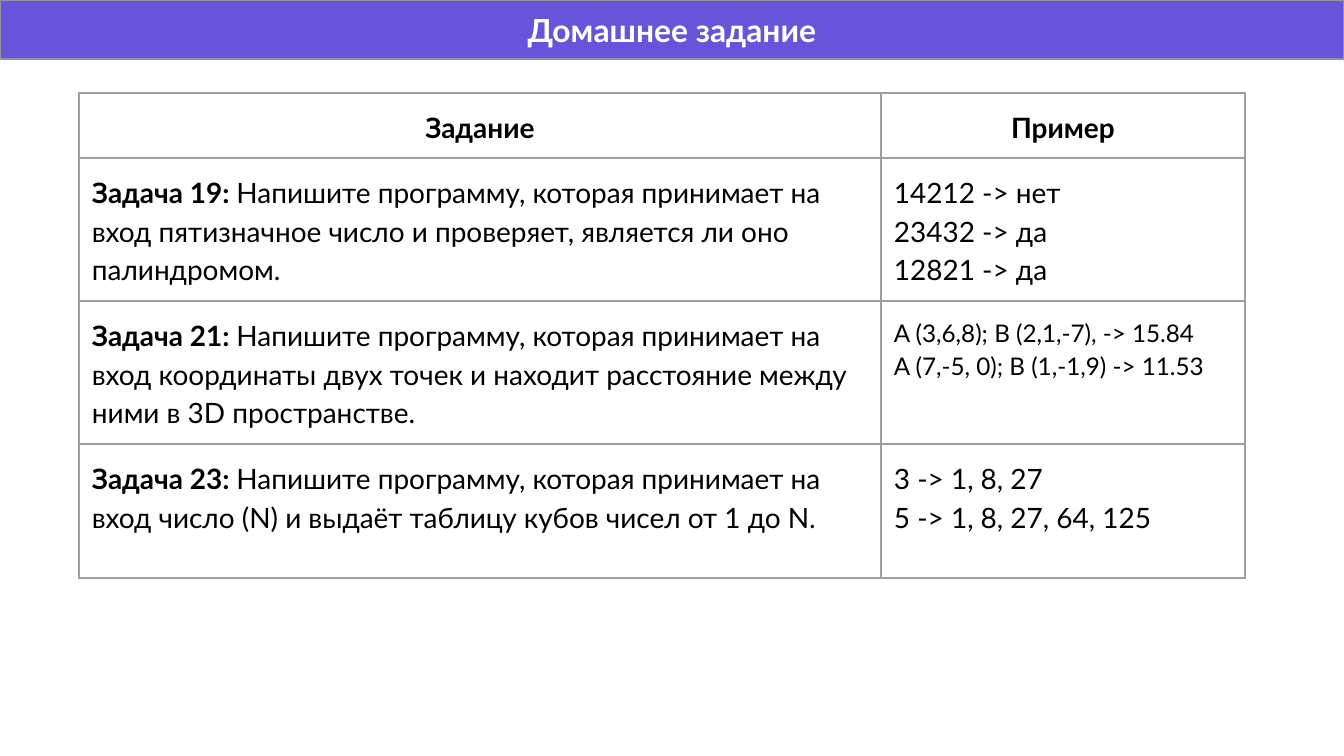
from dataclasses import dataclass

from lxml import etree
from pptx import Presentation
from pptx import util as u
from pptx.dml.color import RGBColor
from pptx.enum import shapes, text
from pptx.oxml import ns

PX = 914400 / 134.4  # EMU in one px


@dataclass(frozen=True)
class Theme:
    font: str = "Lato"
    accent: str = "6654D9"
    accent_line: str = "8F93A3"
    grid: str = "9E9E9E"
    ink: str = "000000"
    paper: str = "FFFFFF"
    title_size: int = 17
    body_size: int = 15
    small_size: int = 13
    line_width: float = 0.75
    spacing: float = 1.15
    inset: int = 13


THEME = Theme()

COLUMNS = [802, 364]
ROWS = [65, 143, 143, 134]
HEADERS = ["Задание", "Пример"]

# Task label, task wording, example lines, example type size
TASKS = [
    ("Задача 19: ",
     "Напишите программу, которая принимает на вход пятизначное число "
     "и проверяет, является ли оно палиндромом.",
     ["14212 -> нет", "23432 -> да", "12821 -> да"], THEME.body_size),
    ("Задача 21: ",
     "Напишите программу, которая принимает на вход координаты двух точек "
     "и находит расстояние между ними в 3D пространстве.",
     ["A (3,6,8); B (2,1,-7), -> 15.84", "A (7,-5, 0); B (1,-1,9) -> 11.53"],
     THEME.small_size),
    ("Задача 23: ",
     "Напишите программу, которая принимает на вход число (N) "
     "и выдаёт таблицу кубов чисел от 1 до N.",
     ["3 -> 1, 8, 27", "5 -> 1, 8, 27, 64, 125"], THEME.body_size),
]


def emu(px):
    return u.Emu(round(px * PX))


def rgb(value):
    return RGBColor.from_string(value)


def format_run(r, size, color, bold=False):
    r.font.name = THEME.font
    r.font.size = u.Pt(size)
    r.font.bold = bold
    r.font.color.rgb = rgb(color)


def set_insets(box):
    """Give a text frame or a table cell the same inset on every side."""
    box.margin_left = box.margin_right = emu(THEME.inset)
    box.margin_top = box.margin_bottom = emu(THEME.inset)


def set_borders(cell):
    tcPr = cell._tc.get_or_add_tcPr()
    for i, side in enumerate(("lnL", "lnR", "lnT", "lnB")):
        ln = etree.Element(ns.qn(f"a:{side}"), w=str(u.Pt(THEME.line_width)))
        fill = etree.SubElement(ln, ns.qn("a:solidFill"))
        etree.SubElement(fill, ns.qn("a:srgbClr"), val=THEME.grid)
        tcPr.insert(i, ln)


def fill_cell(cell, lines, size=THEME.body_size, align=text.PP_ALIGN.LEFT):
    """Write lines, each a list of (wording, bold) pieces."""
    cell.fill.background()
    set_insets(cell)
    set_borders(cell)
    tf = cell.text_frame
    for i, pieces in enumerate(lines):
        p = tf.add_paragraph() if i else tf.paragraphs[0]
        p.alignment = align
        p.line_spacing = THEME.spacing
        for wording, bold in pieces:
            r = p.add_run()
            r.text = wording
            format_run(r, size, THEME.ink, bold)


def add_title_bar(slide, x, y, w, h):
    sp = slide.shapes.add_shape(shapes.MSO_SHAPE.RECTANGLE,
                                emu(x), emu(y), emu(w), emu(h))
    sp.shadow.inherit = False
    sp.fill.solid()
    sp.fill.fore_color.rgb = rgb(THEME.accent)
    sp.line.color.rgb = rgb(THEME.accent_line)
    sp.line.width = u.Pt(THEME.line_width)
    tf = sp.text_frame
    tf.word_wrap = True
    tf.vertical_anchor = text.MSO_ANCHOR.MIDDLE
    set_insets(tf)
    tf.text = "Домашнее задание"
    p = tf.paragraphs[0]
    p.alignment = text.PP_ALIGN.CENTER
    format_run(p.runs[0], THEME.title_size, THEME.paper, bold=True)


def add_task_table(slide, x, y, w, h):
    frame = slide.shapes.add_table(len(ROWS), len(COLUMNS),
                                   emu(x), emu(y), emu(w), emu(h))
    table = frame.table
    table.first_row = table.horz_banding = False
    for column, width in zip(table.columns, COLUMNS):
        column.width = emu(width)
    for row, height in zip(table.rows, ROWS):
        row.height = emu(height)

    # Header row
    for col, header in enumerate(HEADERS):
        fill_cell(table.cell(0, col), [[(header, True)]],
                  align=text.PP_ALIGN.CENTER)

    # One row for each task
    for row, (label, wording, examples, size) in enumerate(TASKS, start=1):
        fill_cell(table.cell(row, 0), [[(label, True), (wording, False)]])
        fill_cell(table.cell(row, 1),
                  [[(line, False)] for line in examples], size)


def main():
    prs = Presentation()
    prs.slide_width, prs.slide_height = emu(1344), emu(756)
    slide = prs.slides.add_slide(prs.slide_layouts[6])
    add_title_bar(slide, 0, 0, 1344, 59)
    add_task_table(slide, 79, 93, sum(COLUMNS), sum(ROWS))
    prs.save("out.pptx")


if __name__ == "__main__":
    main()
